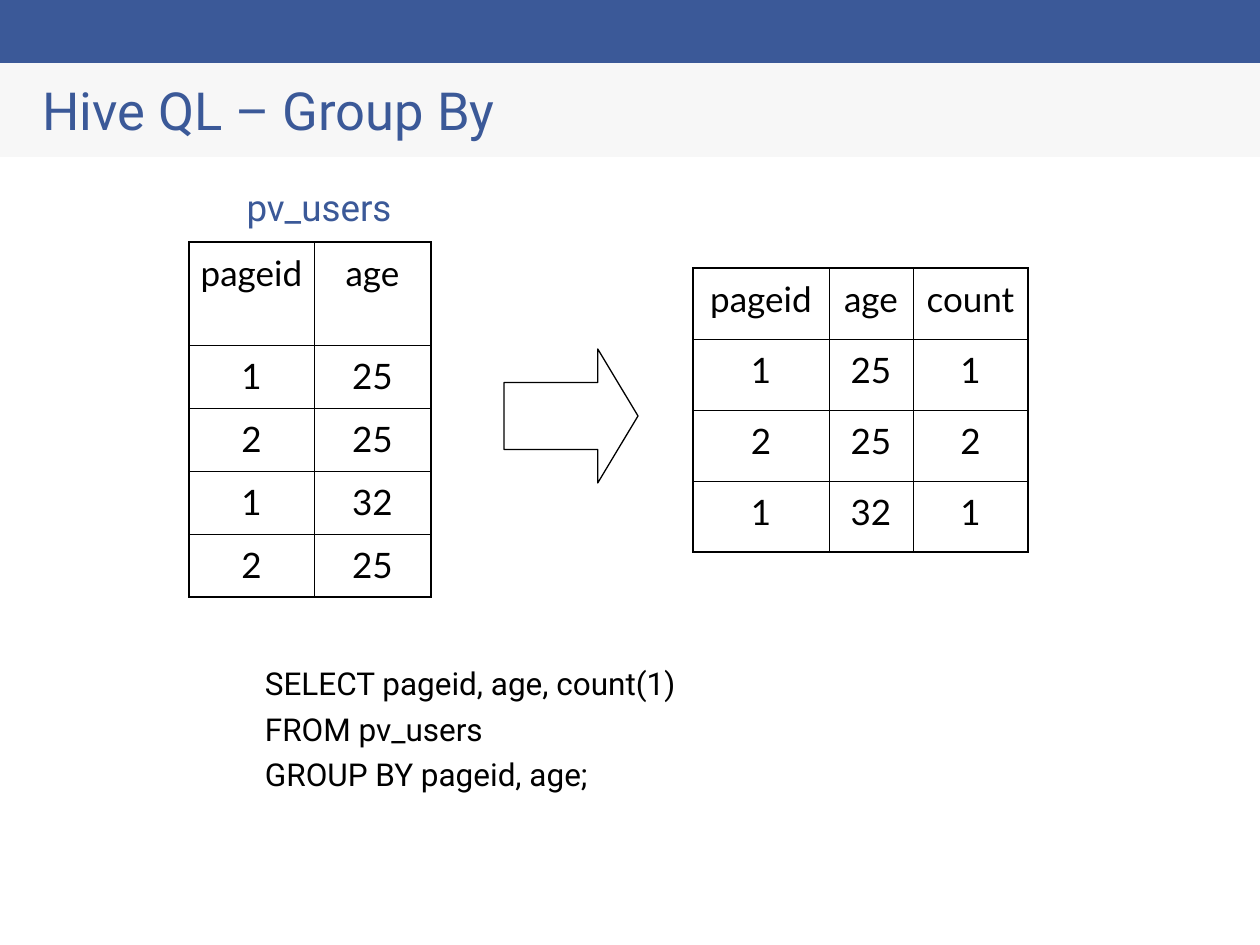
from dataclasses import dataclass

from lxml import etree
from pptx import Presentation
from pptx import util as u
from pptx.dml.color import RGBColor
from pptx.enum import shapes, text
from pptx.oxml import ns


@dataclass(frozen=True)
class Theme:
    blue: str = "3B5998"
    pale: str = "F7F7F7"
    white: str = "FFFFFF"
    black: str = "000000"
    font: str = "Roboto"
    table_font: str = "Lato"
    title_size: int = 30
    label_size: int = 21
    cell_size: int = 20
    code_size: int = 18
    outer_line: float = 1.08
    inner_line: float = 0.45
    arrow_line: float = 0.75


def px(length):
    return u.Emu(round(length * 914400 / 126))


def write(frame, content, size, color, font, align=text.PP_ALIGN.LEFT,
          line_spacing=None, space_before=0, margin=0, indent=0):
    for index, line in enumerate(content.split("\n")):
        paragraph = frame.paragraphs[0] if index == 0 else frame.add_paragraph()
        paragraph.text = line
        paragraph.alignment = align
        if line_spacing:
            paragraph.line_spacing = line_spacing
        if index and space_before:
            paragraph.space_before = u.Pt(space_before)
        if margin:
            properties = paragraph._p.get_or_add_pPr()
            properties.set("marL", str(px(margin)))
            properties.set("indent", str(px(indent)))
        paragraph.font.size = u.Pt(size)
        paragraph.font.name = font
        paragraph.font.color.rgb = RGBColor.from_string(color)


def set_insets(target, left, top):
    target.margin_left = target.margin_right = px(left)
    target.margin_top = target.margin_bottom = px(top)


class SlideBuilder:
    def __init__(self, slide, theme):
        self.slide = slide
        self.theme = theme

    def shape(self, kind, left, top, width, height, fill, line=None):
        shape = self.slide.shapes.add_shape(kind, px(left), px(top), px(width), px(height))
        shape.shadow.inherit = False
        shape.fill.solid()
        shape.fill.fore_color.rgb = RGBColor.from_string(fill)
        if line:
            shape.line.color.rgb = RGBColor.from_string(line)
            shape.line.width = u.Pt(self.theme.arrow_line)
        else:
            shape.line.fill.background()
        return shape

    def title(self, content, left, top, width, height):
        title = self.slide.shapes.title
        title.left, title.top, title.width, title.height = map(px, (left, top, width, height))
        self.slide.shapes._spTree.append(title._element)
        frame = title.text_frame
        frame.auto_size = text.MSO_AUTO_SIZE.NONE
        frame.vertical_anchor = text.MSO_ANCHOR.MIDDLE
        set_insets(frame, 0, 0)
        write(frame, content, self.theme.title_size, self.theme.blue, self.theme.font)

    def label(self, content, left, top, width, height):
        box = self.slide.shapes.add_textbox(px(left), px(top), px(width), px(height))
        set_insets(box.text_frame, 10, 5)
        write(box.text_frame, content, self.theme.label_size, self.theme.blue,
              self.theme.font, align=text.PP_ALIGN.CENTER)

    def code(self, content, left, top, width, height):
        box = self.slide.shapes.add_textbox(px(left), px(top), px(width), px(height))
        frame = box.text_frame
        frame.word_wrap = True
        set_insets(frame, 0, 0)
        frame.margin_top = px(13)
        write(frame, content, self.theme.code_size, self.theme.black, self.theme.font,
              space_before=4.5, margin=220, indent=-32)

    def border(self, cell, side, width):
        properties = cell._tc.get_or_add_tcPr()
        line = etree.SubElement(properties, ns.qn(f"a:ln{side}"), w=str(u.Pt(width)))
        fill = etree.SubElement(line, ns.qn("a:solidFill"))
        etree.SubElement(fill, ns.qn("a:srgbClr"), val=self.theme.black)

    def table(self, rows, left, top, widths, heights):
        frame = self.slide.shapes.add_table(len(rows), len(widths), px(left), px(top),
                                            px(sum(widths)), px(sum(heights)))
        table = frame.table
        table.first_row = table.horz_banding = False
        for column, width in zip(table.columns, widths):
            column.width = px(width)
        last_row, last_column = len(rows) - 1, len(widths) - 1
        for row_index, (values, height) in enumerate(zip(rows, heights)):
            table.rows[row_index].height = px(height)
            for column_index, value in enumerate(values):
                cell = table.cell(row_index, column_index)
                set_insets(cell, 9, 6)
                write(cell.text_frame, value, self.theme.cell_size, self.theme.black,
                      self.theme.table_font, align=text.PP_ALIGN.CENTER, line_spacing=1.1)
                outer_sides = {"L": column_index == 0, "R": column_index == last_column,
                               "T": row_index == 0, "B": row_index == last_row}
                for side, outer in outer_sides.items():
                    self.border(cell, side,
                                self.theme.outer_line if outer else self.theme.inner_line)
                cell.fill.solid()
                cell.fill.fore_color.rgb = RGBColor.from_string(self.theme.white)
                color = cell._tc.tcPr.find(ns.qn("a:solidFill"))[0]
                etree.SubElement(color, ns.qn("a:alpha"), val="50000")


def main():
    presentation = Presentation()
    presentation.slide_width, presentation.slide_height = px(1260), px(945)
    theme = Theme()
    builder = SlideBuilder(presentation.slides.add_slide(presentation.slide_layouts[5]), theme)

    rectangle = shapes.MSO_SHAPE.RECTANGLE
    builder.shape(rectangle, 0, 63, 1260, 94, theme.pale)
    builder.shape(rectangle, 0, 0, 1260, 63, theme.blue)
    builder.title("Hive QL – Group By", 42, 63, 1176, 94)
    builder.code("SELECT pageid, age, count(1)\nFROM pv_users\nGROUP BY pageid, age;",
                 77, 651, 1106, 179)

    page_views = [("pageid", "age"), ("1", "25"), ("2", "25"), ("1", "32"), ("2", "25")]
    builder.table(page_views, 189, 242, [125, 117], [103] + [63] * 4)
    builder.label("pv_users", 234, 180, 170, 54)

    grouped = [("pageid", "age", "count"), ("1", "25", "1"), ("2", "25", "2"), ("1", "32", "1")]
    builder.table(grouped, 693, 268, [136, 84, 115], [71] * 4)

    arrow = builder.shape(shapes.MSO_SHAPE.RIGHT_ARROW, 504, 349, 134, 134,
                          theme.white, theme.black)
    arrow.adjustments[0] = 0.5
    arrow.adjustments[1] = 0.3
    presentation.save("out.pptx")


if __name__ == "__main__":
    main()
